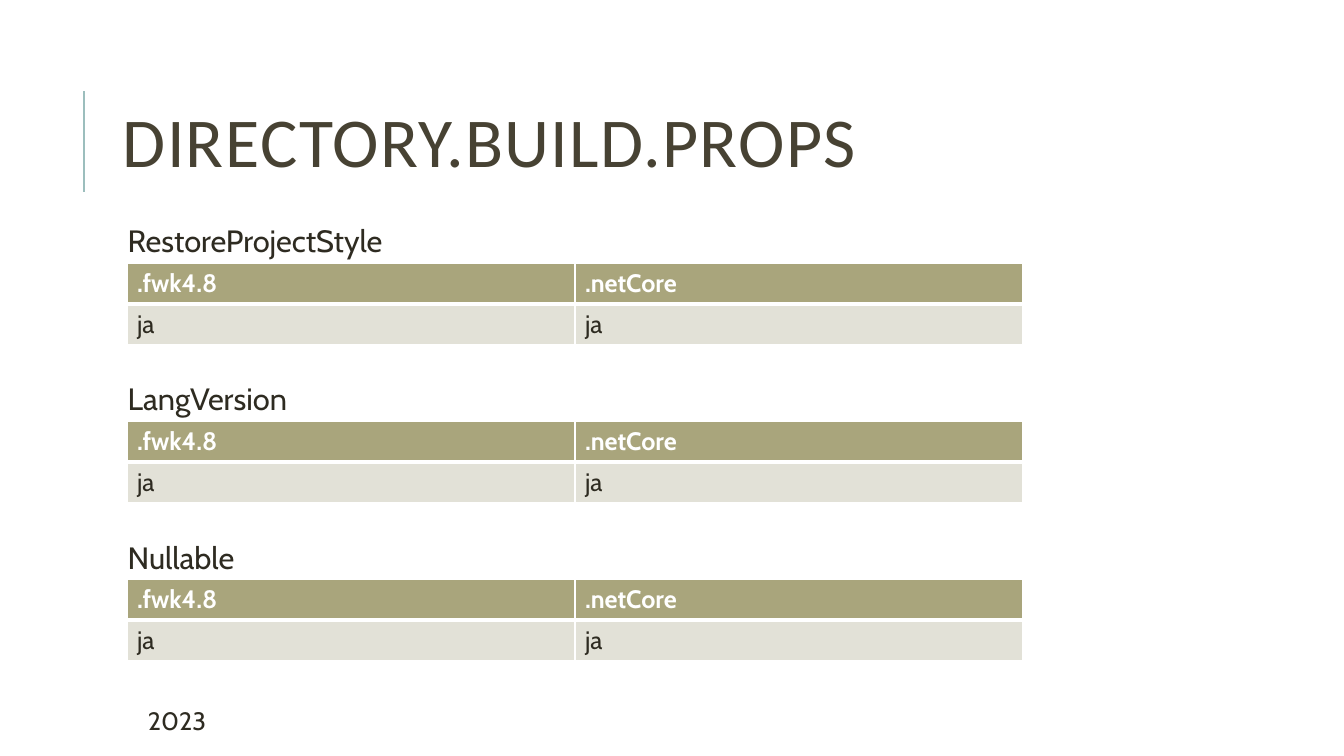
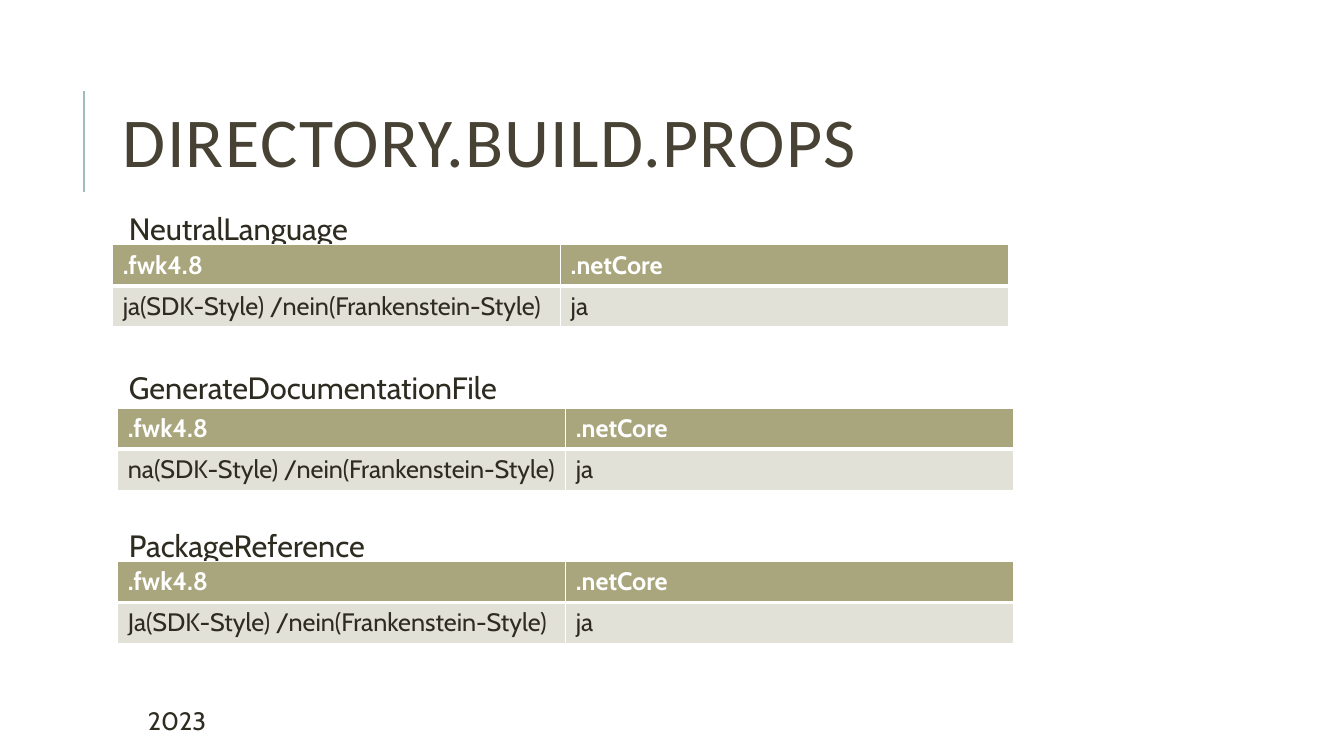
from pptx import Presentation
from pptx.dml.color import RGBColor
from pptx.enum.shapes import MSO_CONNECTOR
from pptx.enum.text import MSO_ANCHOR
from pptx.oxml.ns import qn
from pptx.util import Cm, Pt
from lxml.etree import SubElement

COLORS = {
    "accent": "9CBEBD",
    "title": "474233",
    "text": "2E2B21",
    "header": "A9A57C",
    "row": "E2E1D7",
    "white": "FFFFFF",
}
FONTS = {
    "title": {"name": "Calibri", "size": Pt(50), "bold": False},
    "label": {"name": "Cabin", "size": Pt(22), "bold": False},
    "header": {"name": "Cabin", "size": Pt(18), "bold": True},
    "body": {"name": "Cabin", "size": Pt(18), "bold": False},
}
TITLE_PARAGRAPH = {"line_spacing": 0.8}
FIRST_LABEL = {"line_spacing": 0.9, "space_after": Pt(2)}
NEXT_LABEL = {**FIRST_LABEL, "space_before": Pt(87.5)}
TITLE = "DIRECTORY.BUILD.PROPS"
FOOTER = "2023"
HEADERS = [".fwk4.8", ".netCore"]
COLUMN_WIDTH = 11.29
ROW_HEIGHT = 1.03
FIRST_TOP, TABLE_STEP = 6.63, 3.98

PAGES = [
    {
        "labels_at": (2.84, 5.56),
        "tables": [
            (label, (3.2, FIRST_TOP + index * TABLE_STEP), ["ja", "ja"])
            for index, label in enumerate(["RestoreProjectStyle", "LangVersion", "Nullable"])
        ],
    },
    {
        "labels_at": (2.87, 5.26),
        "tables": [
            ("NeutralLanguage", (2.84, 6.17), ["ja(SDK-Style) /nein(Frankenstein-Style)", "ja"]),
            ("GenerateDocumentationFile", (2.97, 10.29), ["na(SDK-Style) /nein(Frankenstein-Style)", "ja"]),
            ("PackageReference", (2.97, 14.15), ["Ja(SDK-Style) /nein(Frankenstein-Style)", "ja"]),
        ],
    },
]


def apply_format(target, values):
    for name, value in values.items():
        setattr(target, name, value)


def color(name):
    return RGBColor.from_string(COLORS[name])


def add_span(para, text, font, color_name):
    span = para.add_run()
    span.text = text
    apply_format(span.font, FONTS[font])
    span.font.color.rgb = color(color_name)
    return span


def add_box(page, left, top, width, height, **frame_format):
    box = page.shapes.add_textbox(Cm(left), Cm(top), Cm(width), Cm(height))
    apply_format(box.text_frame, {"word_wrap": True, **frame_format})
    return box.text_frame


def add_accent_line(page):
    line = page.shapes.add_connector(MSO_CONNECTOR.STRAIGHT, Cm(2.11), Cm(4.83), Cm(2.11), Cm(2.29))
    line.line.color.rgb = color("accent")
    line.line.width = Pt(1.5)
    SubElement(line._element.spPr, qn("a:effectLst"))


def add_title(page):
    frame = add_box(page, 2.84, 1.63, 27, 4.17, vertical_anchor=MSO_ANCHOR.MIDDLE)
    para = frame.paragraphs[0]
    apply_format(para, TITLE_PARAGRAPH)
    span = add_span(para, TITLE, "title", "title")
    span.font._element.set("spc", "100")


def add_footer(page):
    frame = add_box(page, 3.35, 17.65, 6.81, 1.02, margin_left=Cm(0.38))
    add_span(frame.paragraphs[0], FOOTER, "body", "text")


def add_labels(page, position, labels):
    frame = add_box(page, *position, 27, 11.18, margin_left=Cm(0.38), margin_top=Cm(0.13),
                    margin_right=Cm(0.13), margin_bottom=Cm(0.13))
    for index, label in enumerate(labels):
        para = frame.add_paragraph() if index else frame.paragraphs[0]
        apply_format(para, NEXT_LABEL if index else FIRST_LABEL)
        add_span(para, label, "label", "text")


def set_borders(cell, widths):
    properties = cell._tc.get_or_add_tcPr()
    for index, (side, width) in enumerate(widths.items()):
        border = properties.makeelement(qn(f"a:ln{side}"), {"w": str(Pt(width))})
        fill = SubElement(border, qn("a:solidFill"))
        SubElement(fill, qn("a:srgbClr"), {"val": COLORS["white"]})
        properties.insert(index, border)


def fill_cell(cell, text, font, text_color, fill_color, borders):
    cell.fill.solid()
    cell.fill.fore_color.rgb = color(fill_color)
    add_span(cell.text_frame.paragraphs[0], text, font, text_color)
    set_borders(cell, borders)


def add_support_table(page, position, values):
    left, top = position
    table = page.shapes.add_table(2, len(HEADERS), Cm(left), Cm(top),
                                  Cm(COLUMN_WIDTH * len(HEADERS)), Cm(2 * ROW_HEIGHT)).table
    table.horz_banding = False
    for column, (header, value) in enumerate(zip(HEADERS, values)):
        fill_cell(table.cell(0, column), header, "header", "white", "header",
                  {"L": 1, "R": 1, "T": 1, "B": 3})
        fill_cell(table.cell(1, column), value, "body", "text", "row",
                  {"L": 1, "R": 1, "T": 3, "B": 1})


def add_page(deck, content):
    page = deck.slides.add_slide(deck.slide_layouts[6])
    add_accent_line(page)
    add_footer(page)
    add_title(page)
    add_labels(page, content["labels_at"], [label for label, _, _ in content["tables"]])
    for _, position, values in content["tables"]:
        add_support_table(page, position, values)


def main():
    deck = Presentation()
    apply_format(deck, {"slide_width": Cm(33.87), "slide_height": Cm(19.05)})
    for content in PAGES:
        add_page(deck, content)
    deck.save("out.pptx")


if __name__ == "__main__":
    main()
